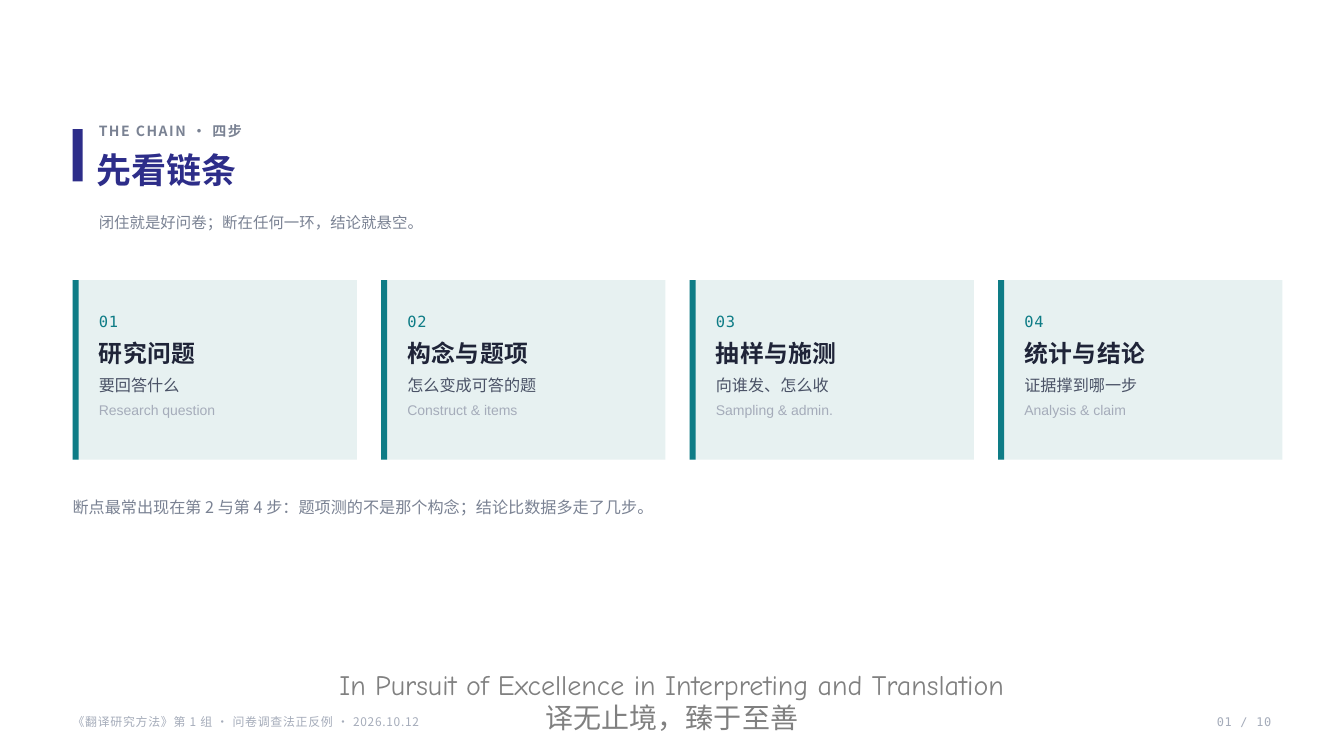
from dataclasses import dataclass

from lxml import etree
from pptx import Presentation
from pptx.dml.color import RGBColor
from pptx.enum.shapes import MSO_SHAPE
from pptx.enum.text import PP_ALIGN
from pptx.oxml.ns import qn
from pptx.util import Inches, Pt

RECT = MSO_SHAPE.RECTANGLE
LEFT, CENTER, RIGHT = PP_ALIGN.LEFT, PP_ALIGN.CENTER, PP_ALIGN.RIGHT


@dataclass(frozen=True)
class Style:
    """Type style of one paragraph."""
    size: float
    color: str
    font: str = "Noto Sans CJK SC"
    line: float = 1.0
    bold: bool = False
    spacing: float = 0


@dataclass(frozen=True)
class Theme:
    """Colours and type styles of the slide."""
    navy: str = "2D2D89"
    teal: str = "0E7C86"
    card: str = "E7F1F1"
    kicker: Style = Style(10, "7A8293", line=1.2, bold=True, spacing=1.1)
    title: Style = Style(25, "2D2D89", line=1.08, bold=True)
    subtitle: Style = Style(11, "7A8293", line=1.3)
    number: Style = Style(11, "0E7C86", "DejaVu Sans Mono", 1.3, spacing=0.5)
    heading: Style = Style(17, "1F2438", line=1.3, bold=True, spacing=0.3)
    body: Style = Style(11.5, "4A5266", line=1.4)
    english: Style = Style(10, "A5ACBA", "Arial", 1.4)
    note: Style = Style(11.5, "7A8293", line=1.4)
    footer: Style = Style(8.5, "A5ACBA", line=1.2, spacing=0.5)
    page: Style = Style(8.5, "A5ACBA", "DejaVu Sans Mono", 1.2, spacing=0.5)
    motto_en: Style = Style(20, "808080", "Comic Neue")
    motto_zh: Style = Style(20, "808080")


THEME = Theme()
STEPS = [
    ("研究问题", "要回答什么", "Research question"),
    ("构念与题项", "怎么变成可答的题", "Construct & items"),
    ("抽样与施测", "向谁发、怎么收", "Sampling & admin."),
    ("统计与结论", "证据撑到哪一步", "Analysis & claim"),
]


def add_rect(s, x, y, w, h, color):
    """Draw a plain filled rectangle."""
    sp = s.shapes.add_shape(RECT, Inches(x), Inches(y), Inches(w), Inches(h))
    sp.shadow.inherit = False
    sp.fill.solid()
    sp.fill.fore_color.rgb = RGBColor.from_string(color)
    sp.line.fill.background()


def style_paragraph(p, style, align):
    """Apply a type style to a whole paragraph."""
    p.alignment = align
    p.line_spacing = style.line
    p.font.size = Pt(style.size)
    p.font.name = style.font
    p.font.bold = style.bold
    p.font.color.rgb = RGBColor.from_string(style.color)
    props = p._p.get_or_add_pPr().find(qn("a:defRPr"))
    props.set("spc", str(round(style.spacing * 100)))
    etree.SubElement(props, qn("a:ea")).set("typeface", style.font)


def add_text(s, x, y, w, h, lines, align=LEFT):
    """Write (text, style) lines in a box without insets."""
    box = s.shapes.add_textbox(Inches(x), Inches(y), Inches(w), Inches(h))
    tf = box.text_frame
    tf.word_wrap = True
    tf.margin_left = tf.margin_right = tf.margin_top = tf.margin_bottom = 0
    for i, (text, style) in enumerate(lines):
        p = tf.add_paragraph() if i else tf.paragraphs[0]
        p.add_run().text = text
        style_paragraph(p, style, align)


def add_header(s, x, y, w):
    """Place the accent bar, kicker, title and subtitle."""
    add_rect(s, x, y + 0.1, 0.1, 0.52, THEME.navy)
    add_text(s, x + 0.26, y, w, 0.26, [("THE CHAIN · 四步", THEME.kicker)])
    add_text(s, x + 0.24, y + 0.26, w, 0.62, [("先看链条", THEME.title)])
    add_text(s, x + 0.26, y + 0.88, w, 0.28,
             [("闭住就是好问卷；断在任何一环，结论就悬空。", THEME.subtitle)])


def add_card(s, x, y, w, h, number, step):
    """Place one step card with its accent edge."""
    heading, body, english = step
    add_rect(s, x, y, w, h, THEME.card)
    add_rect(s, x, y, 0.06, h, THEME.teal)
    add_text(s, x + 0.26, y + 0.26, w - 0.5, h - 0.38, [
        (f"{number:02d}", THEME.number),
        (heading, THEME.heading),
        (body, THEME.body),
        (english, THEME.english),
    ])


def add_chain(s, x, y, w, h, gap=0.24):
    """Spread the step cards evenly across the box."""
    card_w = (w - gap * (len(STEPS) - 1)) / len(STEPS)
    for i, step in enumerate(STEPS):
        add_card(s, x + i * (card_w + gap), y, card_w, h, i + 1, step)


def add_footer(s, x, y, w):
    """Place the course line and the page number."""
    add_text(s, x, y, 9, 0.24,
             [("《翻译研究方法》第 1 组 · 问卷调查法正反例 · 2026.10.12", THEME.footer)])
    add_text(s, x + w - 3.61, y, 3.61, 0.24, [("01 / 10", THEME.page)], RIGHT)


def add_motto(s, x, y, w, h):
    """Place the centred bilingual motto."""
    add_text(s, x, y, w, h, [
        ("In Pursuit of Excellence in Interpreting and Translation", THEME.motto_en),
        ("译无止境，臻于至善", THEME.motto_zh),
    ], CENTER)


def main():
    """Build and save the slide."""
    prs = Presentation()
    prs.slide_width, prs.slide_height = Inches(13.33), Inches(7.5)
    s = prs.slides.add_slide(prs.slide_layouts[6])
    add_motto(s, 0, 6.62, 13.33, 0.67)
    add_header(s, 0.72, 1.18, 11.6)
    add_footer(s, 0.72, 7.06, 11.89)
    add_chain(s, 0.72, 2.78, 12, 1.78)
    add_text(s, 0.72, 4.86, 11.6, 0.34,
             [("断点最常出现在第 2 与第 4 步：题项测的不是那个构念；结论比数据多走了几步。", THEME.note)])
    prs.save("out.pptx")


if __name__ == "__main__":
    main()
